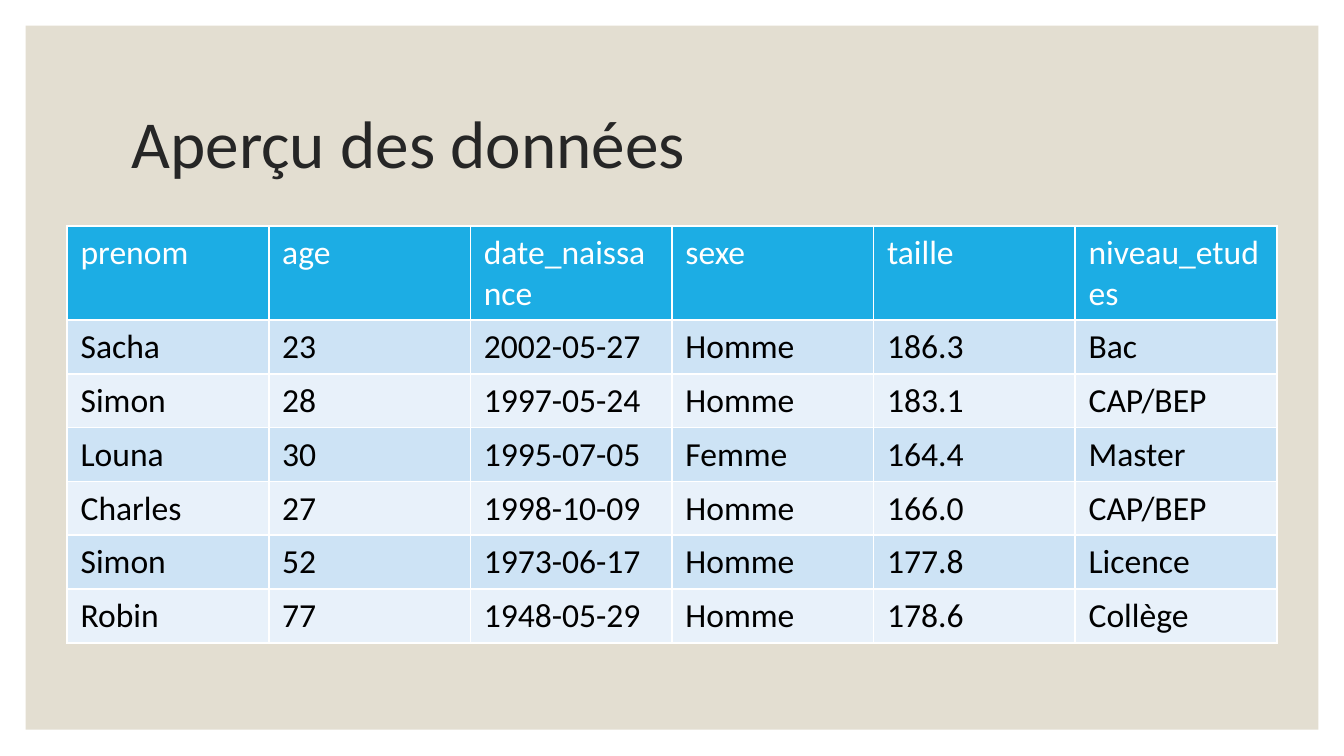
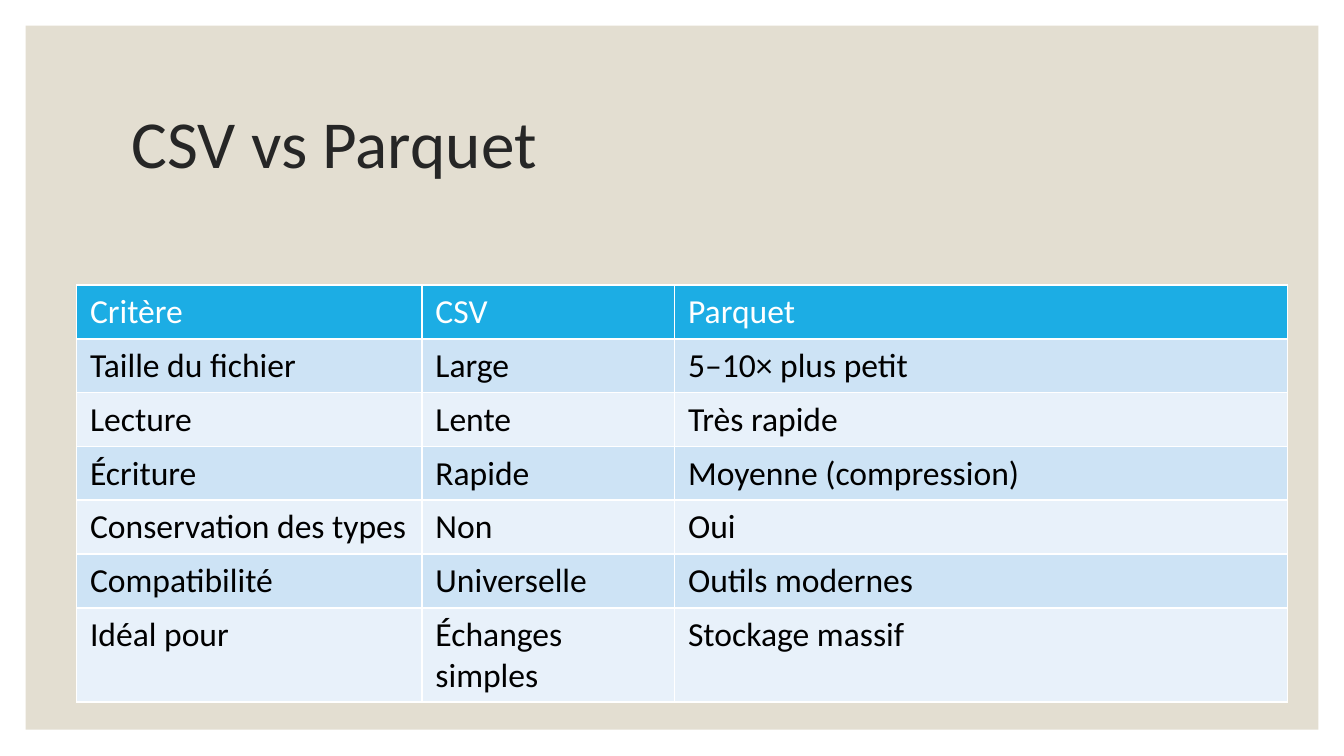
import pptx
import pptx.dml.color
import pptx.enum.shapes
import pptx.enum.text
import pptx.util

# Content
SLIDES = [
    {
        "title": "Aperçu des données",
        "table_at": (0.5, 1.68),
        "columns": [1.5] * 6,
        "rows": [
            ("prenom", "age", "date_naissance", "sexe", "taille", "niveau_etudes"),
            ("Sacha", "23", "2002-05-27", "Homme", "186.3", "Bac"),
            ("Simon", "28", "1997-05-24", "Homme", "183.1", "CAP/BEP"),
            ("Louna", "30", "1995-07-05", "Femme", "164.4", "Master"),
            ("Charles", "27", "1998-10-09", "Homme", "166.0", "CAP/BEP"),
            ("Simon", "52", "1973-06-17", "Homme", "177.8", "Licence"),
            ("Robin", "77", "1948-05-29", "Homme", "178.6", "Collège"),
        ],
    },
    {
        "title": "CSV vs Parquet",
        "table_at": (0.57, 2.12),
        "columns": [2.57, 1.88, 4.56],
        "rows": [
            ("Critère", "CSV", "Parquet"),
            ("Taille du fichier", "Large", "5–10× plus petit"),
            ("Lecture", "Lente", "Très rapide"),
            ("Écriture", "Rapide", "Moyenne (compression)"),
            ("Conservation des types", "Non", "Oui"),
            ("Compatibilité", "Universelle", "Outils modernes"),
            ("Idéal pour", "Échanges simples", "Stockage massif"),
        ],
    },
]

# Shared look
COLORS = {
    "panel": "E3DED1",
    "title": "262626",
    "header": "1CADE4",
    "header_text": "FFFFFF",
    "odd_row": "CDE3F5",
    "even_row": "E8F1FA",
    "row_text": "000000",
}
FONT = "Calibri"
WIDTH = 10
HEIGHT = WIDTH * 9 / 16
PANEL = (0.19, 0.19, 9.62, 5.24)
TITLE = (0.88, 0.53, 8.25, 1.12)
TABLE_HEIGHT = 2.27
TITLE_FORMAT = {"name": FONT, "size": pptx.util.Pt(36)}
CELL_FORMAT = {"name": FONT, "size": pptx.util.Pt(18), "bold": False}


def inches(lengths):
    return [pptx.util.Inches(length) for length in lengths]


def rgb(role):
    return pptx.dml.color.RGBColor.from_string(COLORS[role])


def paint(target, role):
    target.fill.solid()
    target.fill.fore_color.rgb = rgb(role)


def write(frame, text, font_format, role):
    run = frame.paragraphs[0].add_run()
    run.text = text
    for attribute, value in font_format.items():
        setattr(run.font, attribute, value)
    run.font.color.rgb = rgb(role)


def add_panel(slide):
    panel = slide.shapes.add_shape(
        pptx.enum.shapes.MSO_SHAPE.RECTANGLE, *inches(PANEL))
    panel.shadow.inherit = False
    paint(panel, "panel")
    panel.line.fill.background()


def add_title(slide, text):
    frame = slide.shapes.add_textbox(*inches(TITLE)).text_frame
    frame.word_wrap = True
    frame.vertical_anchor = pptx.enum.text.MSO_ANCHOR.MIDDLE
    frame.paragraphs[0].line_spacing = 0.9
    write(frame, text, TITLE_FORMAT, "title")


def add_data_table(slide, place, columns, rows):
    holder = slide.shapes.add_table(
        len(rows), len(columns), *inches((*place, sum(columns), TABLE_HEIGHT)))
    table = holder.table
    for column, width in zip(table.columns, inches(columns)):
        column.width = width
    # Rows grow to fit their text; the white grid comes from the table style
    for row in table.rows:
        row.height = 0
    holder.height = pptx.util.Inches(TABLE_HEIGHT)
    for r, row in enumerate(rows):
        if r == 0:
            fill, ink = "header", "header_text"
        else:
            fill, ink = ("odd_row" if r % 2 else "even_row"), "row_text"
        for c, text in enumerate(row):
            cell = table.cell(r, c)
            paint(cell, fill)
            write(cell.text_frame, text, CELL_FORMAT, ink)


def main():
    deck = pptx.Presentation()
    deck.slide_width, deck.slide_height = inches((WIDTH, HEIGHT))
    for content in SLIDES:
        slide = deck.slides.add_slide(deck.slide_layouts[6])
        add_panel(slide)
        add_title(slide, content["title"])
        add_data_table(slide, content["table_at"], content["columns"], content["rows"])
    deck.save("out.pptx")


if __name__ == "__main__":
    main()
